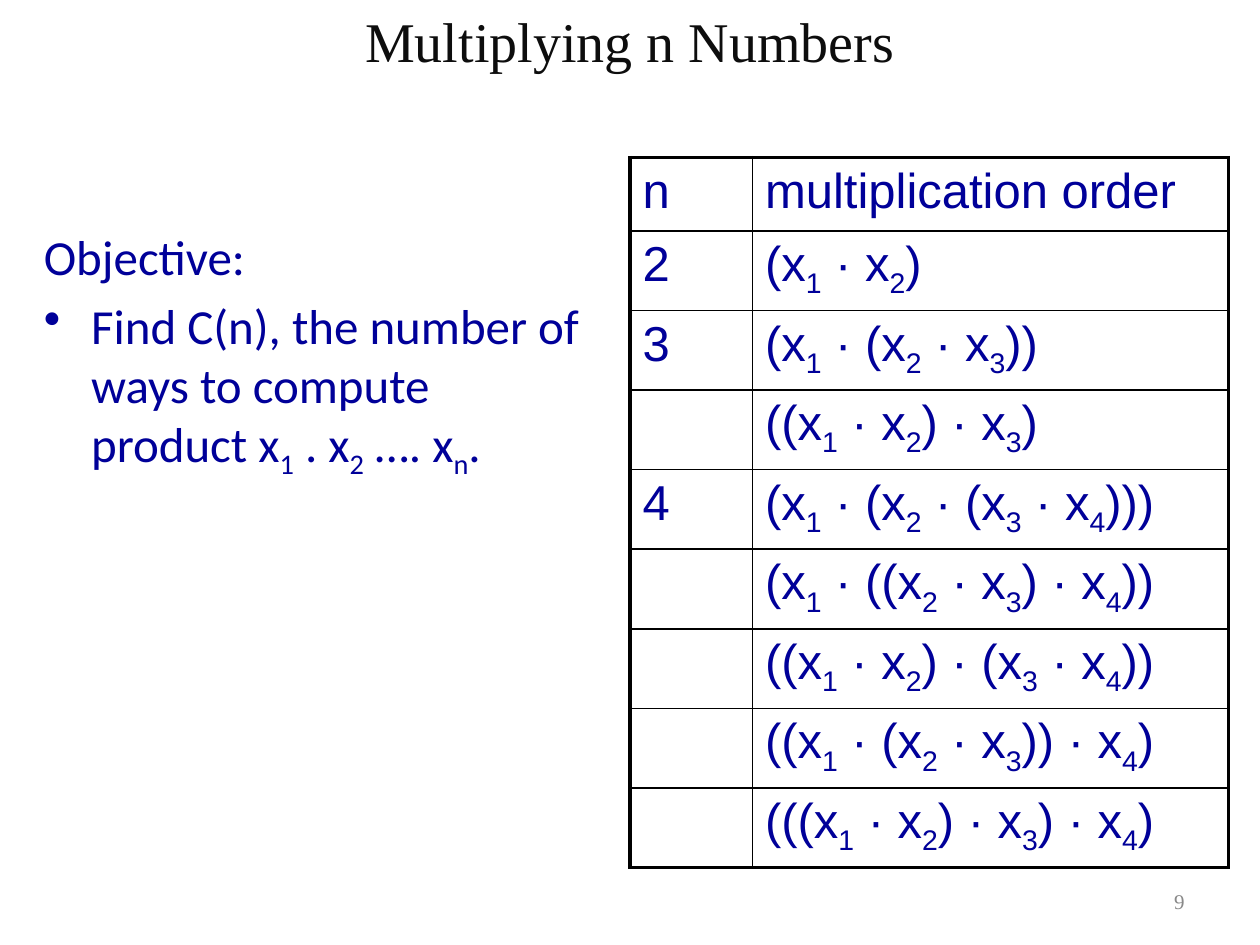
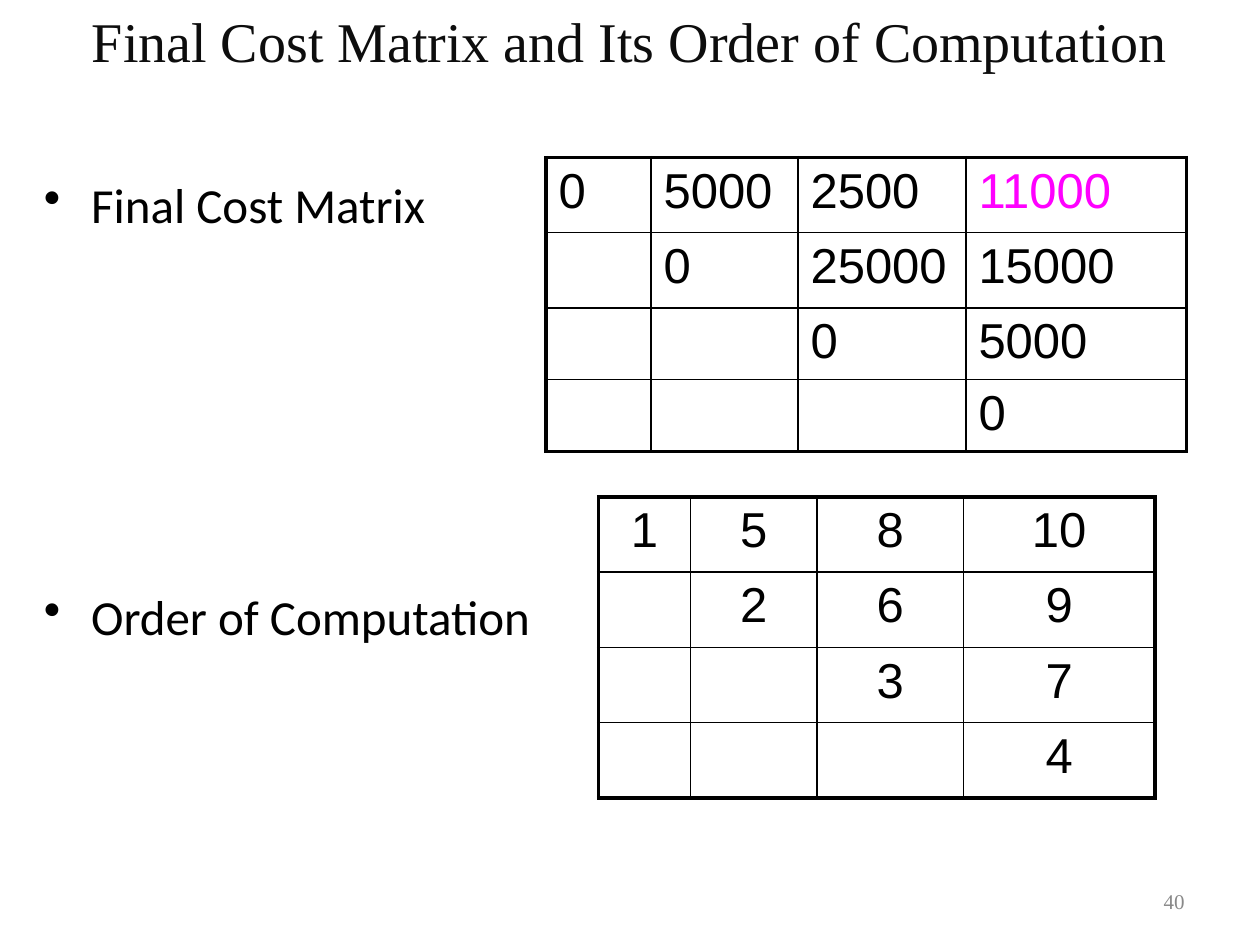
import lxml.etree
import pptx
import pptx.dml.color
import pptx.enum.text
import pptx.oxml.ns
import pptx.util

Pt = pptx.util.Pt
RGBColor = pptx.dml.color.RGBColor
ALIGN = pptx.enum.text.PP_ALIGN
ANCHOR = pptx.enum.text.MSO_ANCHOR
AUTO_SIZE = pptx.enum.text.MSO_AUTO_SIZE
qn = pptx.oxml.ns.qn

BLACK = RGBColor(0x00, 0x00, 0x00)
NAVY = RGBColor(0x00, 0x00, 0x99)
MAGENTA = RGBColor(0xFF, 0x00, 0xFF)
TITLE_INK = RGBColor(0x0D, 0x0D, 0x0D)
NUMBER_GREY = RGBColor(0x89, 0x89, 0x89)
SERIF, SANS, TABLE_FONT = "Times New Roman", "Calibri", "Arial"
BODY_SIZE = 28
OUTER_LINE, INNER_LINE = 2.25, 1
HANGING_INDENT = 27

# Content: "_" lowers the one character after it; body lines are
# (text, bulleted, space before in points or None for the usual share)
SLIDES = [
    {
        "title": "Multiplying n Numbers",
        "number": "9",
        "ink": NAVY,
        "body_box": (18, 126, 324, 336),
        "body": [
            ("Objective:", False, None),
            ("Find C(n), the number of ways to compute product "
             "x_1 . x_2 …. x_n.", True, None),
        ],
        "tables": [
            {
                "corner": (360, 90),
                "columns": (70, 272),
                "heights": (42,) + (41,) * 8,
                "align": ALIGN.LEFT,
                "rows": [
                    ("n", "multiplication order"),
                    ("2", "(x_1 · x_2)"),
                    ("3", "(x_1 · (x_2 · x_3))"),
                    ("", "((x_1 · x_2) · x_3)"),
                    ("4", "(x_1 · (x_2 · (x_3 · x_4)))"),
                    ("", "(x_1 · ((x_2 · x_3) · x_4))"),
                    ("", "((x_1 · x_2) · (x_3 · x_4))"),
                    ("", "((x_1 · (x_2 · x_3)) · x_4)"),
                    ("", "(((x_1 · x_2) · x_3) · x_4)"),
                ],
            },
        ],
    },
    {
        "title": "Final Cost Matrix and Its Order of Computation",
        "number": "40",
        "ink": BLACK,
        "body_box": (18, 96, 312, 326),
        "body": [
            ("Final Cost Matrix", True, None),
            ("Order of Computation", True, 202),
        ],
        "tables": [
            {
                "corner": (312, 90),
                "columns": (60, 84, 96, 126),
                "heights": (43, 43, 41, 41),
                "align": ALIGN.LEFT,
                "highlight": "11000",
                "rows": [
                    ("0", "5000", "2500", "11000"),
                    ("", "0", "25000", "15000"),
                    ("", "", "0", "5000"),
                    ("", "", "", "0"),
                ],
            },
            {
                "corner": (342, 284),
                "columns": (52.5, 72.5, 83.5, 109.5),
                "heights": (43,) * 4,
                "align": ALIGN.CENTER,
                "rows": [
                    ("1", "5", "8", "10"),
                    ("", "2", "6", "9"),
                    ("", "", "3", "7"),
                    ("", "", "", "4"),
                ],
            },
        ],
    },
]


def write(paragraph, text, font, size, color, align=None):
    paragraph.font.name = font
    paragraph.font.size = Pt(size)
    paragraph.font.color.rgb = color
    paragraph.alignment = align
    plain, *lowered = text.split("_")
    paragraph.add_run().text = plain
    for part in lowered:
        subscript = paragraph.add_run()
        subscript.text = part[0]
        subscript.font._element.set("baseline", "-25000")
        if part[1:]:
            paragraph.add_run().text = part[1:]


def space_before_share(paragraph, percent):
    """Space before as a share of the text size."""
    paragraph.space_before = Pt(0)
    spacing = paragraph._p.pPr.find(qn("a:spcBef"))
    spacing.remove(spacing[0])
    lxml.etree.SubElement(spacing, qn("a:spcPct"), val=str(percent * 1000))


def add_text_frame(slide, box):
    frame = slide.shapes.add_textbox(*map(Pt, box)).text_frame
    frame.word_wrap = True
    return frame


def add_title(slide, text):
    frame = add_text_frame(slide, (0, 0, 720, 45))
    frame.auto_size = AUTO_SIZE.SHAPE_TO_FIT_TEXT
    write(frame.paragraphs[0], text, SERIF, 32, TITLE_INK, ALIGN.CENTER)
    space_before_share(frame.paragraphs[0], 50)


def add_number(slide, text):
    frame = add_text_frame(slide, (516, 500.5, 168, 29))
    frame.vertical_anchor = ANCHOR.MIDDLE
    write(frame.paragraphs[0], text, SERIF, 12, NUMBER_GREY, ALIGN.RIGHT)


def add_body(slide, box, lines, ink):
    frame = add_text_frame(slide, box)
    for index, (text, bulleted, space) in enumerate(lines):
        paragraph = frame.add_paragraph() if index else frame.paragraphs[0]
        write(paragraph, text, SANS, BODY_SIZE, ink)
        if space is None:
            space_before_share(paragraph, 20)
        else:
            paragraph.space_before = Pt(space)
        properties = paragraph._p.pPr
        properties.set("marL", str(Pt(HANGING_INDENT)))
        properties.set("indent", str(-Pt(HANGING_INDENT)))
        if bulleted:
            bullet = lxml.etree.Element(qn("a:buChar"), char="•")
            properties.find(qn("a:defRPr")).addprevious(bullet)


def set_borders(cell, widths):
    properties = cell._tc.get_or_add_tcPr()
    for index, (side, width) in enumerate(zip("LRTB", widths)):
        line = lxml.etree.Element(qn("a:ln" + side), w=str(Pt(width)))
        fill = lxml.etree.SubElement(line, qn("a:solidFill"))
        lxml.etree.SubElement(fill, qn("a:srgbClr"), val=str(BLACK))
        properties.insert(index, line)


def add_grid(slide, grid, ink):
    rows, columns, heights = grid["rows"], grid["columns"], grid["heights"]
    size = (sum(columns), sum(heights))
    table = slide.shapes.add_table(
        len(rows), len(columns), *map(Pt, grid["corner"] + size)).table
    table.first_row = table.horz_banding = False
    for column, width in zip(table.columns, columns):
        column.width = Pt(width)
    for row, height in zip(table.rows, heights):
        row.height = Pt(height)

    last_row, last_column = len(rows) - 1, len(columns) - 1
    for r, values in enumerate(rows):
        for c, value in enumerate(values):
            cell = table.cell(r, c)
            cell.fill.background()
            on_edge = (c == 0, c == last_column, r == 0, r == last_row)
            set_borders(cell, [OUTER_LINE if edge else INNER_LINE
                               for edge in on_edge])
            if value:
                color = MAGENTA if value == grid.get("highlight") else ink
                paragraph = cell.text_frame.paragraphs[0]
                write(paragraph, value, TABLE_FONT, BODY_SIZE, color,
                      grid["align"])
                space_before_share(paragraph, 20)


def main():
    deck = pptx.Presentation()
    deck.slide_width, deck.slide_height = Pt(720), Pt(540)
    blank = deck.slide_layouts[6]
    for content in SLIDES:
        slide = deck.slides.add_slide(blank)
        add_number(slide, content["number"])
        add_body(slide, content["body_box"], content["body"], content["ink"])
        for grid in content["tables"]:
            add_grid(slide, grid, content["ink"])
        add_title(slide, content["title"])
    deck.save("out.pptx")


if __name__ == "__main__":
    main()
